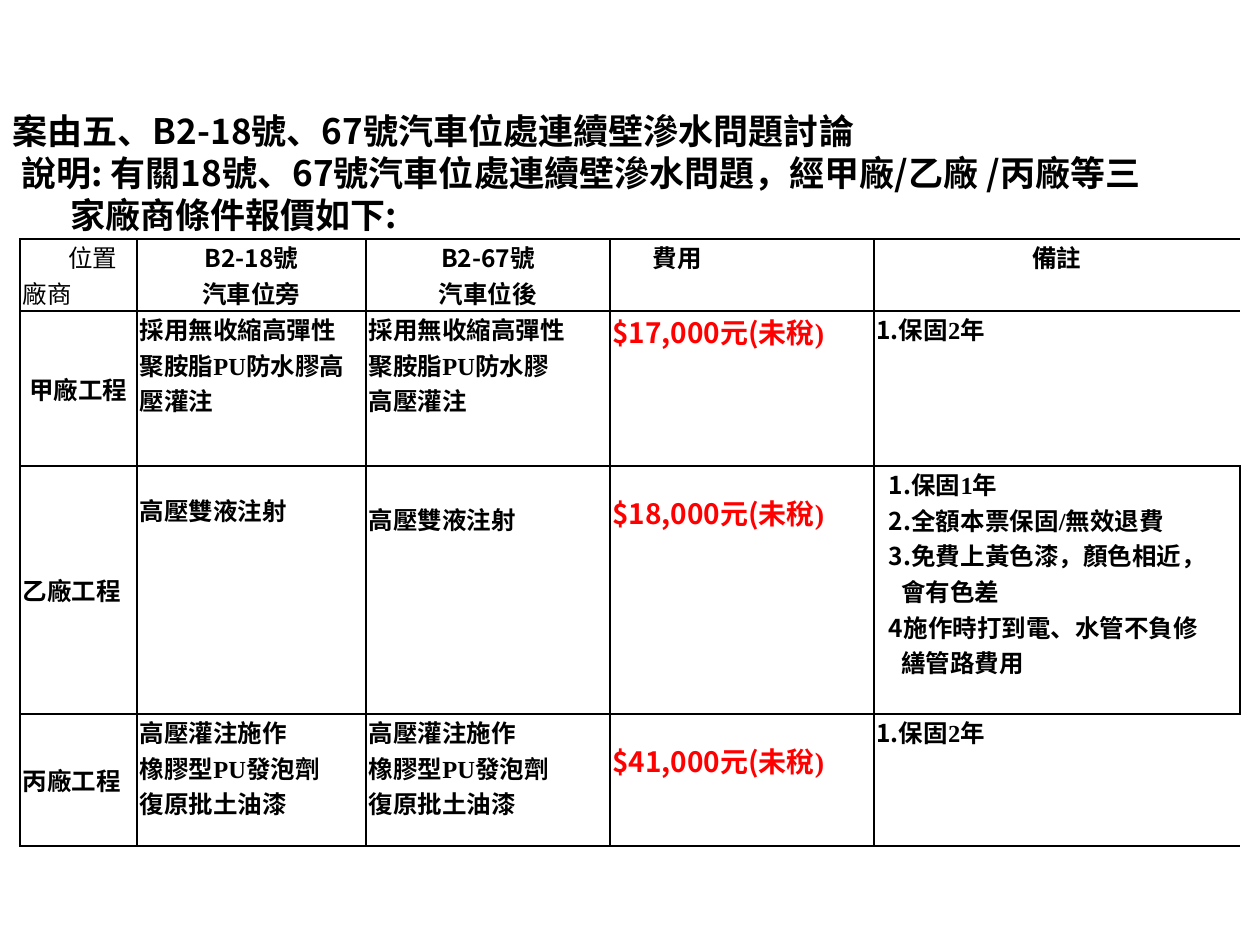
from dataclasses import dataclass

from lxml.etree import SubElement
from pptx import Presentation
from pptx.dml.color import RGBColor
from pptx.enum.text import MSO_ANCHOR, PP_ALIGN
from pptx.oxml import parse_xml
from pptx.oxml.ns import nsdecls, qn
from pptx.util import Pt


@dataclass(frozen=True)
class Theme:
    sans: str = "Noto Sans CJK SC"
    serif: str = "Times New Roman"
    ink: RGBColor = RGBColor(0, 0, 0)
    price: RGBColor = RGBColor(255, 0, 0)
    title_size: int = 20
    cell_size: int = 14
    price_size: int = 16
    border: str = "000000"


THEME = Theme()
NO_STYLE = "{2D5ABB26-0587-4C30-8999-92F81FD0307C}"
COLS = [66.9, 130.9, 139.4, 150.8, 7.2, 202]
ROWS = [41, 88.6, 141.8, 75.4]
VENDORS = ["甲廠", "乙廠", "丙廠"]
FOAM = ["高壓灌注施作", "橡膠型PU發泡劑", "復原批土油漆"]
WARRANTY = ["1.|保固2年"]


def style_run(r, font, size, color, bold=True):
    r.font.name = font
    r.font.size = Pt(size)
    r.font.bold = bold
    r.font.color.rgb = color
    SubElement(r.font._element, qn("a:ea")).set("typeface", THEME.sans)


def indent(p, left):
    pPr = p._p.get_or_add_pPr()
    pPr.set("marL", str(Pt(left)))
    pPr.set("indent", "0")


def add_title(s, left, top, width, height):
    sp = s.shapes.title
    sp.left, sp.top, sp.width, sp.height = (Pt(v) for v in (left, top, width, height))
    tf = sp.text_frame
    tf.word_wrap = True
    tf.vertical_anchor = MSO_ANCHOR.MIDDLE
    tf.text = "\n".join([
        "案由五、B2-18號、67號汽車位處連續壁滲水問題討論",
        f"說明: 有關18號、67號汽車位處連續壁滲水問題，經{VENDORS[0]}/{VENDORS[1]} /{VENDORS[2]}等三",
        "家廠商條件報價如下:",
    ])
    for p, left_indent in zip(tf.paragraphs, (0, 5, 33)):
        p.alignment = PP_ALIGN.LEFT
        p.line_spacing = Pt(24)
        indent(p, left_indent)
        style_run(p.runs[0], THEME.sans, THEME.title_size, THEME.ink)


def set_borders(cell, sides):
    tcPr = cell._tc.get_or_add_tcPr()
    for i, side in enumerate("LRTB"):
        if side in sides:
            ln = (f'<a:ln{side} {nsdecls("a")} w="{Pt(1)}"><a:solidFill>'
                  f'<a:srgbClr val="{THEME.border}"/></a:solidFill></a:ln{side}>')
        else:
            ln = f'<a:ln{side} {nsdecls("a")} w="0"><a:noFill/></a:ln{side}>'
        tcPr.insert(i, parse_xml(ln))


def fill_cell(cell, lines, align=PP_ALIGN.LEFT, middle=False, top=0, indents=(),
              size=THEME.cell_size, color=THEME.ink, bold=True):
    """Write lines; in each, "|" switches between the sans and the serif font."""
    cell.vertical_anchor = MSO_ANCHOR.MIDDLE if middle else MSO_ANCHOR.TOP
    cell.margin_top = Pt(top)
    tf = cell.text_frame
    for i, line in enumerate(lines):
        p = tf.add_paragraph() if i else tf.paragraphs[0]
        p.alignment = align
        if i < len(indents):
            indent(p, indents[i])
        parts = line.split("|")
        fonts = [THEME.sans, THEME.serif] * 2 if len(parts) > 1 else [THEME.serif]
        for part, font in zip(parts, fonts):
            r = p.add_run()
            r.text = part
            style_run(r, font, size, color, bold)


def add_quotes(s, left, top):
    width, height = sum(COLS), sum(ROWS)
    frame = s.shapes.add_table(len(ROWS), len(COLS), Pt(left), Pt(top), Pt(width), Pt(height))
    table = frame.table
    table.first_row = table.horz_banding = False
    table._tbl.tblPr.find(qn("a:tableStyleId")).text = NO_STYLE
    for col, w in zip(table.columns, COLS):
        col.width = Pt(w)
    for row, h in zip(table.rows, ROWS):
        row.height = Pt(h)
    for y in range(len(ROWS)):
        for x in range(len(COLS)):
            cell = table.cell(y, x)
            cell.fill.background()
            cell.margin_left = cell.margin_right = Pt(1.5)
            cell.margin_top = cell.margin_bottom = 0
            set_borders(cell, {4: "LTB", 5: "RTB"}.get(x, "LRTB"))
    for y in (0, 1, 3):
        table.cell(y, 4).merge(table.cell(y, 5))

    center = PP_ALIGN.CENTER
    fill_cell(table.cell(0, 0), ["位置", "廠商"], middle=True, indents=(26,), bold=False)
    fill_cell(table.cell(0, 1), ["B2-18|號", "汽車位旁"], center, middle=True)
    fill_cell(table.cell(0, 2), ["B2-67|號", "汽車位後"], center, middle=True)
    fill_cell(table.cell(0, 3), ["費用"], indents=(23,))
    fill_cell(table.cell(0, 4), ["備註"], center)

    prices = ["$17,000", "$18,000", "$41,000"]
    for y, (vendor, price) in enumerate(zip(VENDORS, prices), 1):
        fill_cell(table.cell(y, 0), [vendor + "工程"], center if y == 1 else PP_ALIGN.LEFT, middle=True)
        fill_cell(table.cell(y, 3), [f"{price}|元|(|未稅)"], top=0 if y == 1 else 15,
                  size=THEME.price_size, color=THEME.price)

    fill_cell(table.cell(1, 1), ["採用無收縮高彈性", "聚胺脂PU防水膠高", "壓灌注"])
    fill_cell(table.cell(1, 2), ["採用無收縮高彈性", "聚胺脂PU防水膠", "高壓灌注"])
    fill_cell(table.cell(1, 4), WARRANTY)
    for x, offset in ((1, 15), (2, 20)):
        fill_cell(table.cell(2, x), ["高壓雙液注射"], top=offset)
        fill_cell(table.cell(3, x), FOAM)
    fill_cell(table.cell(2, 5), [
        "1.|保固1年", "2.|全額本票保固/無效退費", "3.|免費上黃色漆，顏色相近，",
        "會有色差", "4|施作時打到電、水管不負修", "繕管路費用",
    ], indents=(0, 0, 0, 7, 0, 7))
    fill_cell(table.cell(3, 4), WARRANTY)


def main():
    prs = Presentation()
    prs.slide_width, prs.slide_height = Pt(720), Pt(540)
    s = prs.slides.add_slide(prs.slide_layouts[5])
    add_title(s, 0, 58.3, 720, 80)
    add_quotes(s, 11.4, 136.6)
    prs.save("out.pptx")


if __name__ == "__main__":
    main()
